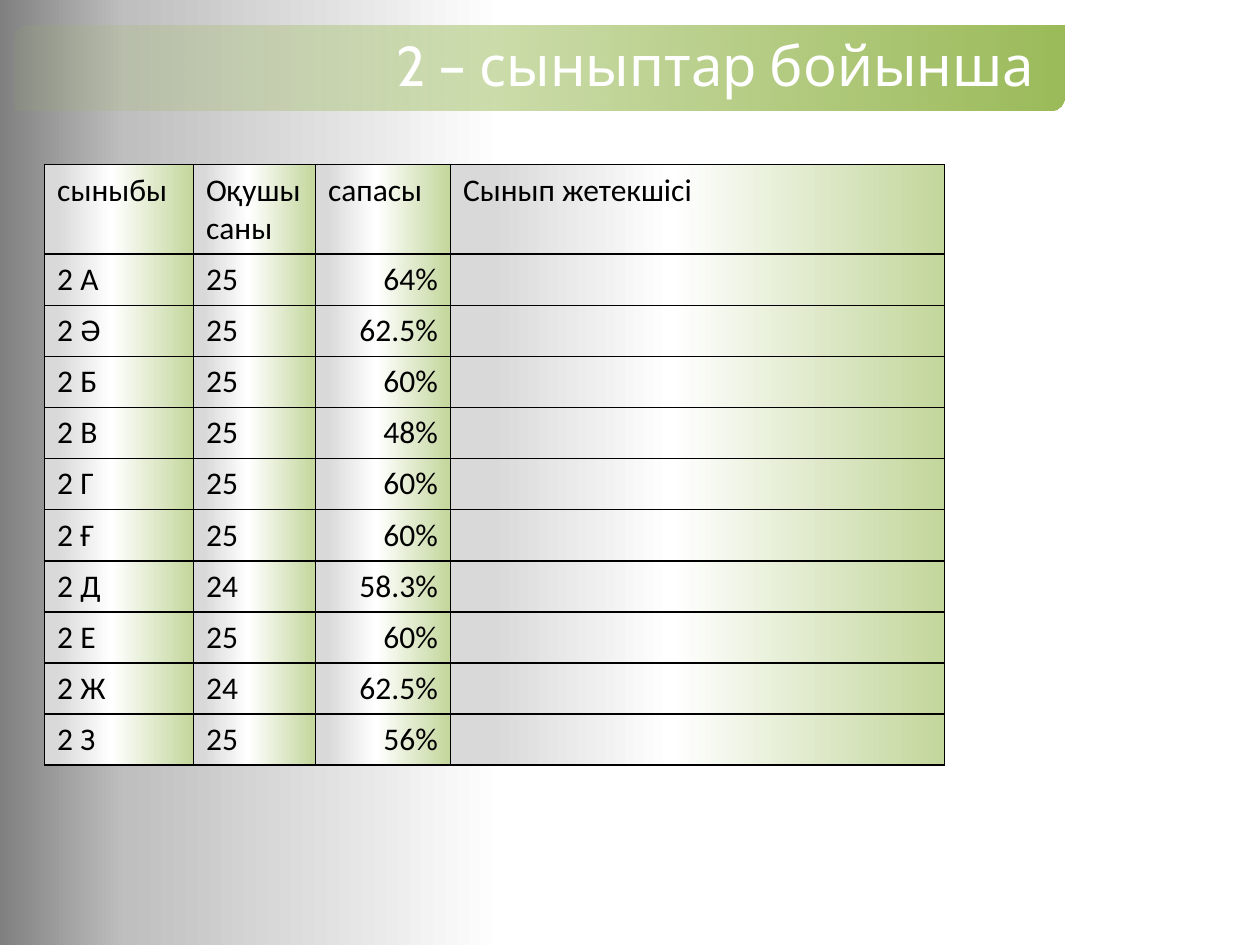
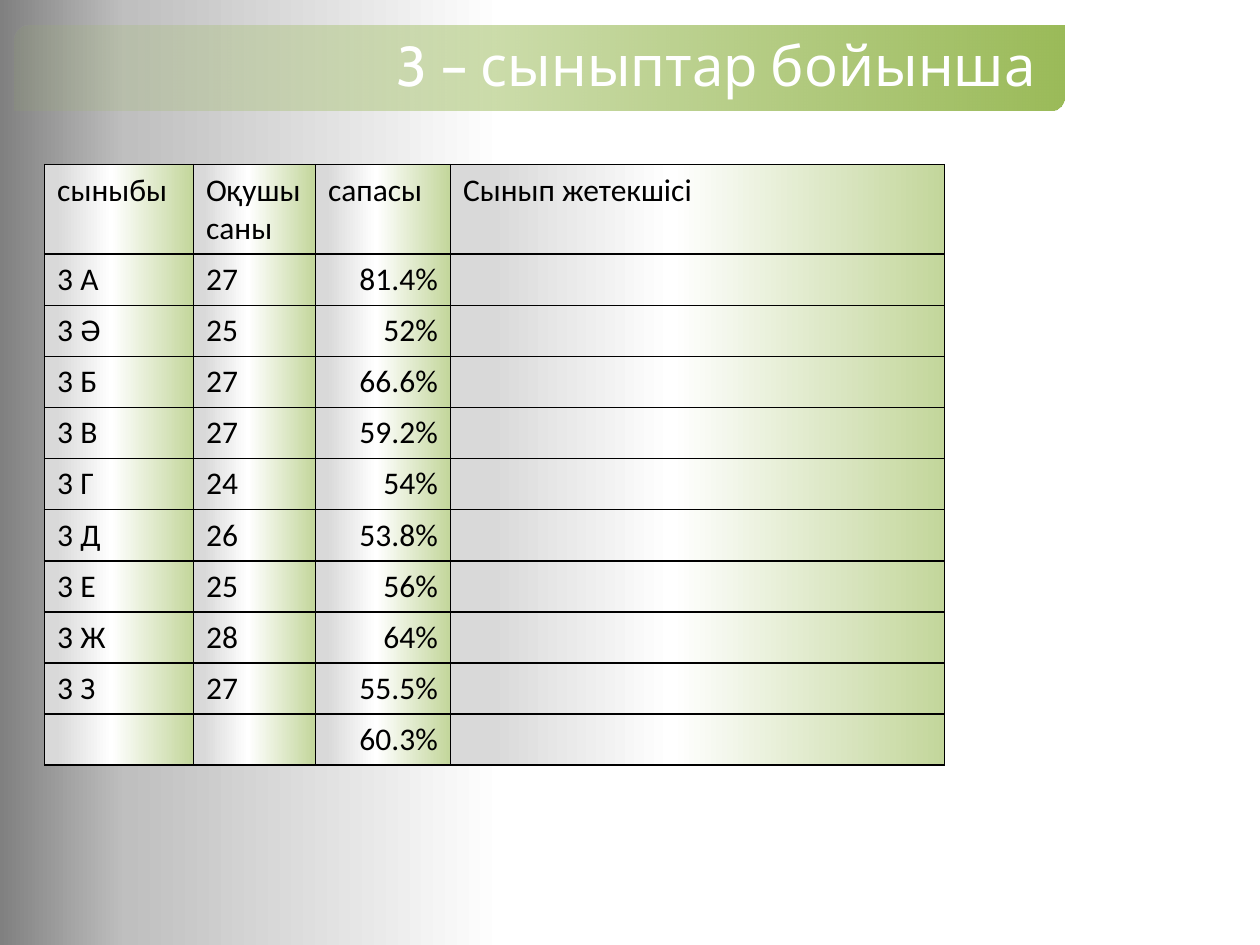
import pptx
import pptx.dml.color
import pptx.enum.shapes
import pptx.enum.text
import pptx.oxml
import pptx.oxml.ns
import pptx.util
from lxml import etree

Cm, Pt = pptx.util.Cm, pptx.util.Pt
qn = pptx.oxml.ns.qn

# Shared look: gradient stops are (position %, colour, opacity %)
BACKGROUND = [(60, "FFFFFF", 100), (90, "BFBFBF", 100), (100, "808080", 100)]
BAND = [(0, "9BBB59", 10), (100, "9BBB59", 100)]
CELL = [(0, "C3D69B", 100), (55, "FFFFFF", 100), (92, "D9D9D9", 100)]
BLACK, WHITE = "000000", "FFFFFF"

# Table layout in centimetres
HEADER = ["сыныбы", "Оқушы саны", "сапасы", "Сынып жетекшісі"]
COL_WIDTHS = [3, 2.46, 2.72, 9.96]
HEADER_HEIGHT, ROW_HEIGHT = 1.8, 1.03
QUALITY_COL = 2

# Class, number of pupils, quality
GRADE_2 = [
    ("2 А", "25", "64%"), ("2 Ә", "25", "62.5%"), ("2 Б", "25", "60%"),
    ("2 В", "25", "48%"), ("2 Г", "25", "60%"), ("2 Ғ", "25", "60%"),
    ("2 Д", "24", "58.3%"), ("2 Е", "25", "60%"), ("2 Ж", "24", "62.5%"),
    ("2 З", "25", "56%"),
]
GRADE_3 = [
    ("3 А", "27", "81.4%"), ("3 Ә", "25", "52%"), ("3 Б", "27", "66.6%"),
    ("3 В", "27", "59.2%"), ("3 Г", "24", "54%"), ("3 Д", "26", "53.8%"),
    ("3 Е", "25", "56%"), ("3 Ж", "28", "64%"), ("3 З", "27", "55.5%"),
    ("", "", "60.3%"),
]


def rgb(value):
    return pptx.dml.color.RGBColor.from_string(value)


def set_font(p, name, size, color):
    p.font.name = name
    p.font.size = Pt(size)
    p.font.color.rgb = rgb(color)


def set_gradient(fill, element, stops, angle):
    """Swap the solid fill inside element for a linear gradient."""
    fill.solid()
    solid = next(element.iter(qn("a:solidFill")))
    grad = etree.Element(qn("a:gradFill"), rotWithShape="1")
    gs_list = etree.SubElement(grad, qn("a:gsLst"))
    for pos, color, opacity in stops:
        gs = etree.SubElement(gs_list, qn("a:gs"), pos=str(pos * 1000))
        clr = etree.SubElement(gs, qn("a:srgbClr"), val=color)
        if opacity < 100:
            etree.SubElement(clr, qn("a:alpha"), val=str(opacity * 1000))
    etree.SubElement(grad, qn("a:lin"), ang=str(angle * 60000), scaled="0")
    solid.getparent().replace(solid, grad)


def set_borders(cell, color, width):
    tc_pr = cell._tc.get_or_add_tcPr()
    for i, side in enumerate(("a:lnL", "a:lnR", "a:lnT", "a:lnB")):
        ln = etree.Element(qn(side), w=str(Pt(width)))
        solid = etree.SubElement(ln, qn("a:solidFill"))
        etree.SubElement(solid, qn("a:srgbClr"), val=color)
        tc_pr.insert(i, ln)


def add_title_band(s, text):
    sp = s.shapes.add_shape(
        pptx.enum.shapes.MSO_SHAPE.ROUND_2_DIAG_RECTANGLE,
        Cm(0.3), Cm(0.52), Cm(21.16), Cm(1.7))
    sp.shadow.inherit = False
    sp.line.fill.background()
    set_gradient(sp.fill, sp.element, BAND, 0)
    tf = sp.text_frame
    tf.word_wrap = True
    tf.vertical_anchor = pptx.enum.text.MSO_ANCHOR.MIDDLE
    # The rounded corners already inset the text a little
    tf.margin_left = Cm(7.62)
    tf.margin_right = Cm(0.2)
    tf.margin_top = tf.margin_bottom = Cm(0.35)
    p = tf.paragraphs[0]
    p.text = text
    p.alignment = pptx.enum.text.PP_ALIGN.LEFT
    p.line_spacing = 0.9
    set_font(p, "Cabin", 32, WHITE)


def fill_cell(cell, text, right):
    set_gradient(cell.fill, cell._tc, CELL, 180)
    set_borders(cell, BLACK, 1)
    p = cell.text_frame.paragraphs[0]
    p.text = text
    set_font(p, "Calibri", 18, BLACK)
    if right:
        p.alignment = pptx.enum.text.PP_ALIGN.RIGHT


def add_class_table(s, classes):
    # The class teacher column stays empty
    rows = [HEADER] + [(*row, "") for row in classes]
    height = HEADER_HEIGHT + ROW_HEIGHT * len(classes)
    table = s.shapes.add_table(
        len(rows), len(HEADER), Cm(0.9), Cm(3.32),
        Cm(sum(COL_WIDTHS)), Cm(height)).table
    table.first_row = table.horz_banding = False
    for col, width in zip(table.columns, COL_WIDTHS):
        col.width = Cm(width)
    for r, row in enumerate(rows):
        table.rows[r].height = Cm(ROW_HEIGHT if r else HEADER_HEIGHT)
        for c, text in enumerate(row):
            fill_cell(table.cell(r, c), text, r > 0 and c == QUALITY_COL)


def add_grade_slide(prs, title, classes):
    s = prs.slides.add_slide(prs.slide_layouts[6])
    set_gradient(s.background.fill, s.element, BACKGROUND, 180)
    add_title_band(s, title)
    add_class_table(s, classes)


def main():
    prs = pptx.Presentation()
    prs.slide_width, prs.slide_height = Cm(25.4), Cm(19.05)
    add_grade_slide(prs, "2 – сыныптар бойынша", GRADE_2)
    add_grade_slide(prs, "3 – сыныптар бойынша", GRADE_3)
    prs.save("out.pptx")


if __name__ == "__main__":
    main()
